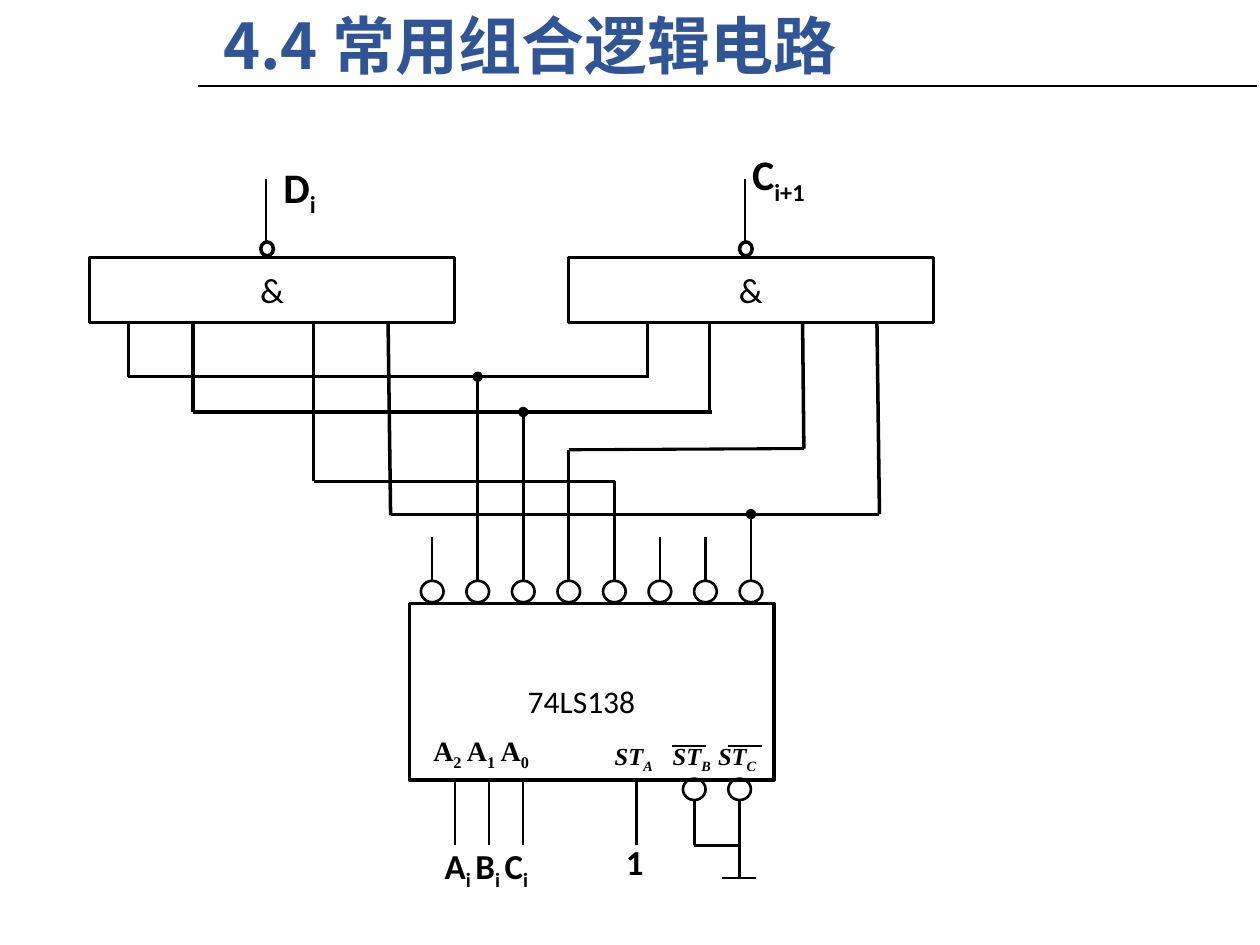
from typing import NamedTuple

from pptx import Presentation
from pptx.dml.color import RGBColor
from pptx.enum.shapes import MSO_CONNECTOR, MSO_SHAPE
from pptx.enum.text import MSO_ANCHOR, PP_ALIGN
from pptx.oxml.ns import qn
from pptx.util import Inches, Pt
from lxml import etree

STRAIGHT = MSO_CONNECTOR.STRAIGHT
RECTANGLE, OVAL = MSO_SHAPE.RECTANGLE, MSO_SHAPE.OVAL
TOP, MIDDLE = MSO_ANCHOR.TOP, MSO_ANCHOR.MIDDLE
LEFT, CENTER = PP_ALIGN.LEFT, PP_ALIGN.CENTER
TITLE_ONLY = 5
COLORS = {"ink": "000000", "title": "2F5597"}

SANS = {"name": "Calibri", "bold": True}
PIN = {"name": "Times New Roman", "size": Pt(16), "bold": True}
STROBE = {**PIN, "size": Pt(14), "italic": True}
SIGNAL = {**SANS, "size": Pt(24)}
INPUT = {**SANS, "size": Pt(20)}
GATE = {"name": "Calibri", "size": Pt(20)}
CHIP = {"name": "Calibri", "size": Pt(18)}
TITLE = {"name": "Noto Sans CJK SC", "size": Pt(36), "bold": True}


class Box(NamedTuple):
    left: float
    top: float
    width: float
    height: float


class Wire(NamedTuple):
    x1: float
    y1: float
    x2: float
    y2: float
    weight: float = 1.5
    dot: bool = False


class Label(NamedTuple):
    box: Box
    texts: tuple  # every second text is a subscript
    style: dict


def place(shape, box: Box) -> None:
    for name, value in box._asdict().items():
        setattr(shape, name, Inches(value))


def write(shape, texts: tuple, style: dict, color: str = "ink",
          anchor=TOP, alignment=LEFT) -> None:
    frame = shape.text_frame
    frame.word_wrap = True
    frame.vertical_anchor = anchor
    paragraph = frame.paragraphs[0]
    paragraph.alignment = alignment
    for index, text in enumerate(texts):
        run = paragraph.add_run()
        run.text = text
        for name, value in style.items():
            setattr(run.font, name, value)
        run.font.color.rgb = RGBColor.from_string(COLORS[color])
        properties = run._r.get_or_add_rPr()
        etree.SubElement(properties, qn("a:ea")).set("typeface", style["name"])
        if index % 2:
            properties.set("baseline", "-25000")


def draw_line(slide, wire: Wire) -> None:
    ends = [Inches(value) for value in wire[:4]]
    connector = slide.shapes.add_connector(STRAIGHT, *ends)
    connector.line.width = Pt(wire.weight)
    connector.line.color.rgb = RGBColor.from_string(COLORS["ink"])
    if wire.dot:
        etree.SubElement(connector.line._get_or_add_ln(), qn("a:tailEnd")).set("type", "oval")
    etree.SubElement(connector._element.spPr, qn("a:effectLst"))


def draw_outline(slide, kind, box: Box, weight: float):
    shape = slide.shapes.add_shape(kind, *map(Inches, box))
    shape.shadow.inherit = False
    shape.fill.background()
    shape.line.width = Pt(weight)
    shape.line.color.rgb = RGBColor.from_string(COLORS["ink"])
    return shape


def draw_label(slide, label: Label) -> None:
    write(slide.shapes.add_textbox(*map(Inches, label.box)), label.texts, label.style)


def draw_gate(slide, left: float) -> None:
    body = draw_outline(slide, RECTANGLE, Box(left, 2.04, 2.9, 0.52), 1.75)
    write(body, ("&",), GATE, anchor=MIDDLE, alignment=CENTER)
    draw_outline(slide, OVAL, Box(left + 1.36, 1.92, 0.1, 0.11), 2)
    draw_line(slide, Wire(left + 1.4, 1.92, left + 1.4, 1.42, 1.25))


def draw_bubble(slide, center: float, top: float) -> None:
    draw_outline(slide, OVAL, Box(center - 0.09, top, 0.18, 0.17), 1.5)


# Decoder pins
OUTPUTS = [3.43 + 2.53 / 7 * index for index in range(8)]
Y1, Y2, Y3, Y4, Y7 = (OUTPUTS[index] for index in (1, 2, 3, 4, 7))
INPUTS = (3.61, 3.88, 4.15, 5.05)
STROBE_B, STROBE_C = 5.51, 5.87
GATE_BOTTOM, CHIP_BOTTOM, INPUT_END = 2.56, 6.18, 6.71

WIRES = [
    # Decoder outputs up to the buses
    Wire(Y1, 4.26, Y1, 2.99, 1.75, True),
    Wire(Y2, 4.26, Y2, 3.27, dot=True),
    Wire(Y3, 4.26, Y3, 3.57),
    Wire(Y4, 4.33, Y4, 3.82, 1.75),
    Wire(Y7, 4.28, Y7, 4.08, dot=True),
    # Horizontal buses
    Wire(1.02, 2.99, 5.15, 2.99, 1.75),
    Wire(1.53, 3.27, 5.65, 3.27, 1.75),
    Wire(2.49, 3.82, 4.88, 3.82, 1.75),
    Wire(Y3, 3.57, 6.38, 3.56, 1.75),
    Wire(3.1, 4.08, 6.98, 4.08, 1.75),
    # Gate inputs down to the buses
    Wire(1.02, GATE_BOTTOM, 1.02, 2.99, 2),
    Wire(1.53, GATE_BOTTOM, 1.53, 3.27, 2),
    Wire(2.49, GATE_BOTTOM, 2.49, 3.82, 2),
    Wire(3.08, GATE_BOTTOM, 3.1, 4.09, 2),
    Wire(5.14, GATE_BOTTOM, 5.14, 2.99, 2),
    Wire(5.63, GATE_BOTTOM, 5.63, 3.27, 2),
    Wire(6.37, GATE_BOTTOM, 6.38, 3.56, 2),
    Wire(6.96, GATE_BOTTOM, 6.98, 4.08, 2),
    # Ground
    Wire(STROBE_B, INPUT_END, STROBE_C, INPUT_END, 1.25),
    Wire(STROBE_C, INPUT_END, STROBE_C, 6.97),
    Wire(5.73, 6.97, 6, 6.97),
    # Bars over the inverted strobes
    Wire(5.33, 5.92, 5.6, 5.92),
    Wire(5.78, 5.92, 6.05, 5.92),
]

LABELS = [
    Label(Box(3.34, 5.77, 1.11, 0.39), ("A", "2", " A", "1", " A", "0"), PIN),
    Label(Box(4.78, 5.83, 0.55, 0.35), ("ST", "A"), STROBE),
    Label(Box(5.24, 5.83, 0.55, 0.35), ("ST", "B"), STROBE),
    Label(Box(5.6, 5.83, 0.55, 0.35), ("ST", "C"), STROBE),
    Label(Box(4.09, 5.36, 1.24, 0.42), ("74LS138",), CHIP),
    Label(Box(4.87, 6.62, 0.36, 0.44), ("1",), INPUT),
    Label(Box(3.43, 6.65, 1.44, 0.44), ("A", "i ", "B", "i ", "C", "i"), INPUT),
    Label(Box(2.15, 1.23, 0.51, 0.5), ("D", "i"), SIGNAL),
    Label(Box(5.87, 1.13, 1.71, 0.5), ("C", "i+1"), SIGNAL),
]


def main() -> None:
    presentation = Presentation()
    presentation.slide_width, presentation.slide_height = Inches(10), Inches(7.5)
    slide = presentation.slides.add_slide(presentation.slide_layouts[TITLE_ONLY])

    # Title and rule
    title = slide.shapes.title
    place(title, Box(1.67, 0, 5.78, 0.71))
    write(title, ("4.4 常用组合逻辑电路",), TITLE, "title", MIDDLE)
    draw_line(slide, Wire(1.57, 0.68, 9.98, 0.68, 1.25))

    # Decoder
    draw_outline(slide, RECTANGLE, Box(3.25, 4.79, 2.89, 1.4), 2.25)
    for x in OUTPUTS:
        draw_bubble(slide, x, 4.61)
        draw_line(slide, Wire(x, 4.26, x, 4.61))
    for x in INPUTS:
        draw_line(slide, Wire(x, CHIP_BOTTOM, x, INPUT_END))
    for x in (STROBE_B, STROBE_C):
        draw_bubble(slide, x, CHIP_BOTTOM)
        draw_line(slide, Wire(x, INPUT_END, x, 6.36))

    # Gates, wiring and labels
    for left in (0.71, 4.51):
        draw_gate(slide, left)
    for wire in WIRES:
        draw_line(slide, wire)
    for label in LABELS:
        draw_label(slide, label)

    presentation.save("out.pptx")


if __name__ == "__main__":
    main()
